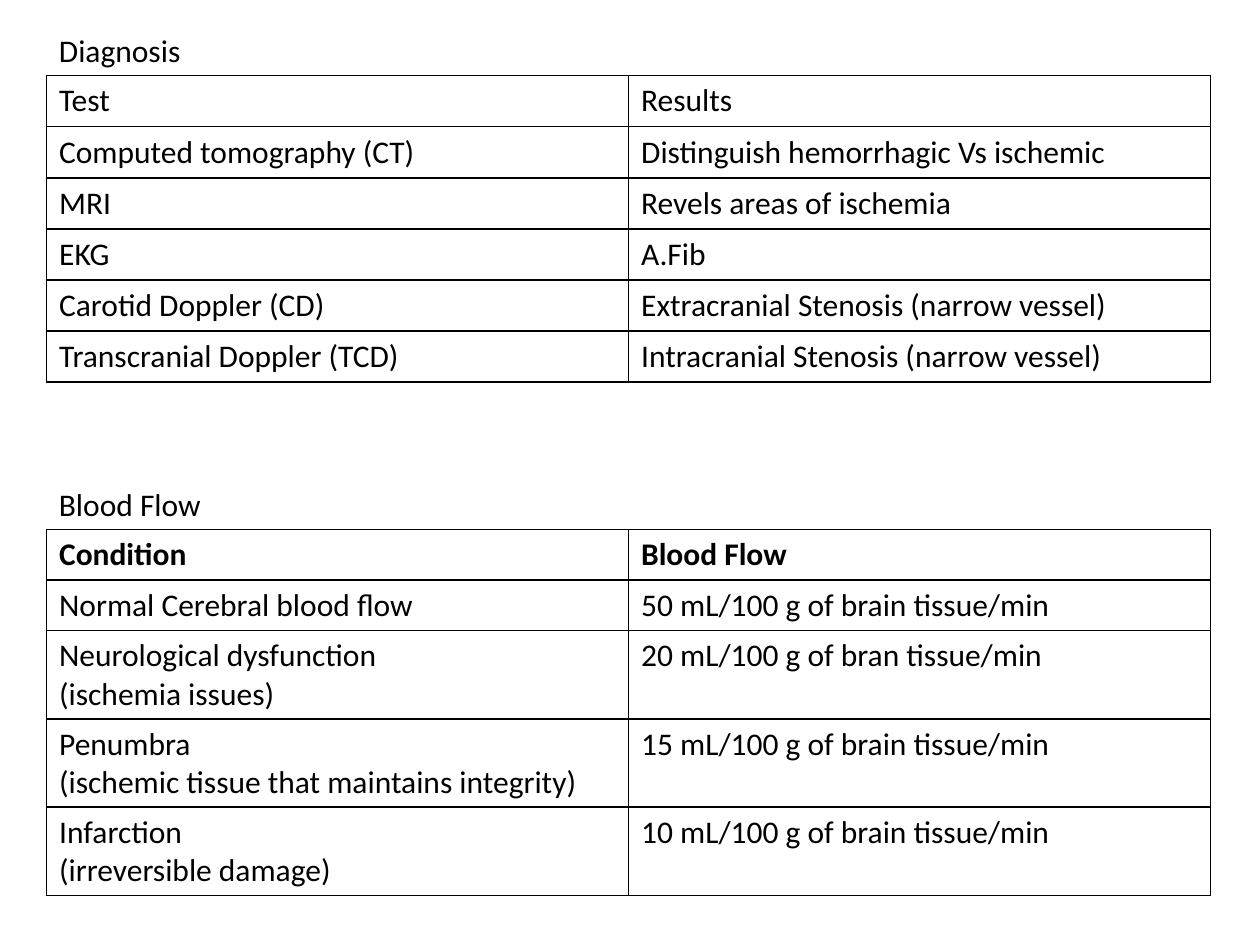
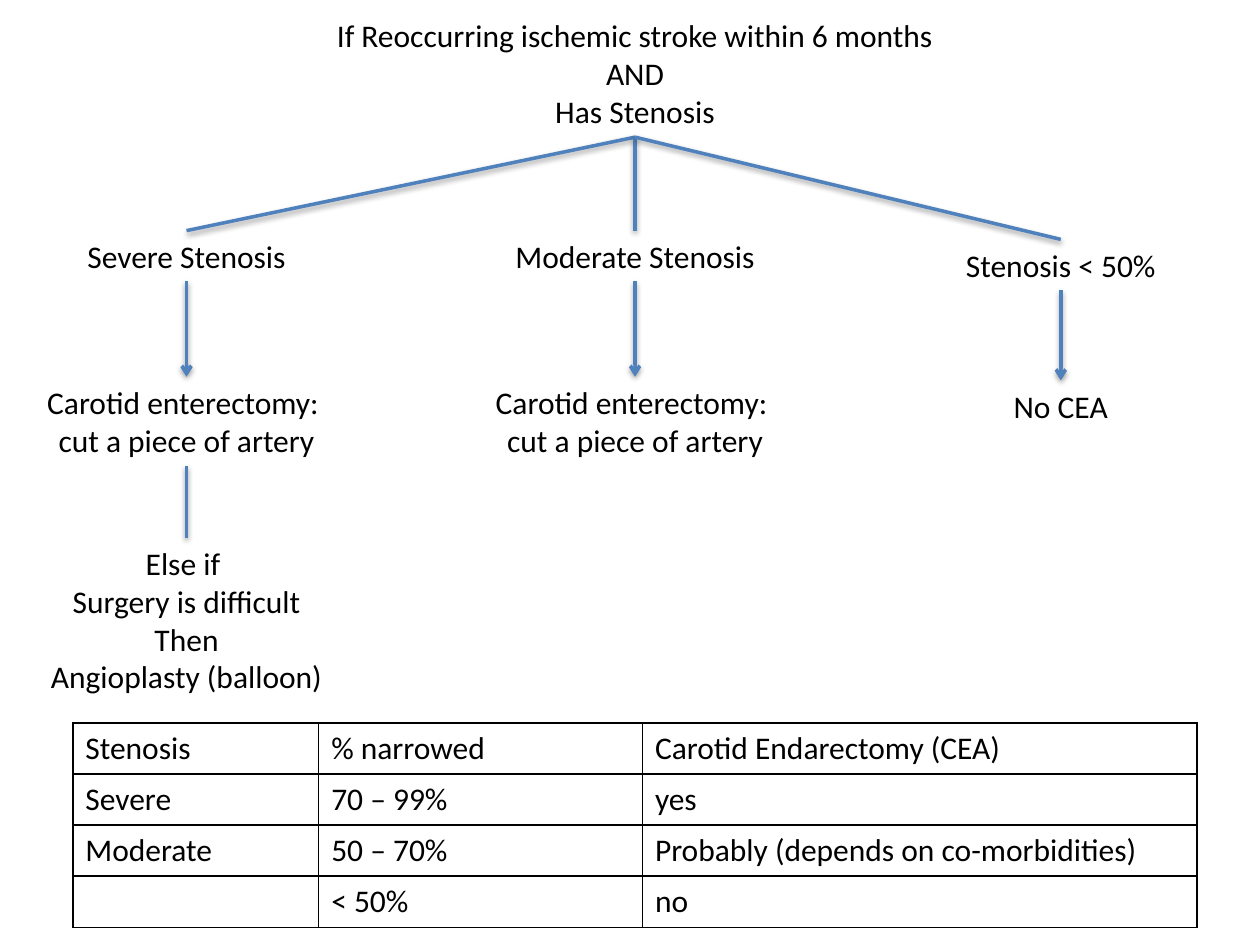
from lxml.etree import SubElement
from pptx import Presentation
from pptx.dml.color import RGBColor
from pptx.enum.shapes import MSO_CONNECTOR
from pptx.enum.text import PP_ALIGN
from pptx.oxml.ns import qn
from pptx.util import Pt

BLACK = "000000"
BLUE = "4F81BD"
FONT = "Calibri"
TEXT_SIZE = 18
LINE_HEIGHT = 21.8
BOX_PADDING = 7.2


def colour(value):
    """Turn a hex string into a colour."""
    return RGBColor.from_string(value)


def add_xml_colour(parent, value):
    """Add a hex colour element to an XML parent."""
    return SubElement(parent, qn("a:srgbClr"), val=str(colour(value)))


class StrokeDeck:
    """Holds the style and the current slide, and draws each kind of element."""

    def __init__(self):
        """Start a ten by seven and a half inch deck."""
        self.deck = Presentation()
        self.deck.slide_width = Pt(720)
        self.deck.slide_height = Pt(540)
        self.page = None

    def add_page(self):
        """Start a new blank slide."""
        self.page = self.deck.slides.add_slide(self.deck.slide_layouts[6])

    def fill_text(self, frame, text, align=PP_ALIGN.LEFT, bold=False):
        """Fill a text frame with one paragraph for each line."""
        for index, line in enumerate(text.split("\n")):
            para = frame.paragraphs[0] if index == 0 else frame.add_paragraph()
            para.text = line
            para.alignment = align
            para.font.name = FONT
            para.font.size = Pt(TEXT_SIZE)
            para.font.bold = bold
            para.font.color.rgb = colour(BLACK)

    def label(self, text, left, top, width, align=PP_ALIGN.LEFT):
        """Place a text box and return its bottom edge."""
        height = BOX_PADDING + LINE_HEIGHT * len(text.split("\n"))
        box = self.page.shapes.add_textbox(Pt(left), Pt(top), Pt(width), Pt(height))
        box.text_frame.word_wrap = False
        self.fill_text(box.text_frame, text, align)
        return top + height

    def node(self, text, centre, top, width):
        """Place a centred label and return its bottom edge."""
        return self.label(text, centre - width / 2, top, width, PP_ALIGN.CENTER)

    def line(self, start, end, arrow=False):
        """Draw a shadowed line, with an arrowhead at its end if asked."""
        points = [Pt(length) for length in (*start, *end)]
        connector = self.page.shapes.add_connector(MSO_CONNECTOR.STRAIGHT, *points)
        connector.line.color.rgb = colour(BLUE)
        connector.line.width = Pt(2)
        properties = connector._element.spPr
        if arrow:
            SubElement(properties.find(qn("a:ln")), qn("a:tailEnd"), type="arrow")
        effects = SubElement(properties, qn("a:effectLst"))
        shadow = SubElement(effects, qn("a:outerShdw"), blurRad="40000",
                            dist="20000", dir="5400000", rotWithShape="0")
        SubElement(add_xml_colour(shadow, BLACK), qn("a:alpha"), val="38000")

    def border(self, cell):
        """Give a cell a black border on every side."""
        properties = cell._tc.get_or_add_tcPr()
        for side in ("lnL", "lnR", "lnT", "lnB"):
            edge = SubElement(properties, qn(f"a:{side}"), w=str(int(Pt(1))))
            add_xml_colour(SubElement(edge, qn("a:solidFill")), BLACK)

    def table(self, left, top, widths, heights, rows, bold_header=False):
        """Draw a plain bordered table."""
        table = self.page.shapes.add_table(
            len(rows), len(widths), Pt(left), Pt(top),
            Pt(sum(widths)), Pt(sum(heights))).table
        table.first_row = False
        table.horz_banding = False
        for column, width in zip(table.columns, widths):
            column.width = Pt(width)
        for index, (row, height) in enumerate(zip(rows, heights)):
            table.rows[index].height = Pt(height)
            for cell, text in zip(table.rows[index].cells, row):
                self.border(cell)
                cell.fill.background()
                self.fill_text(cell.text_frame, text, bold=bold_header and index == 0)


DIAGNOSIS = [
    ("Test", "Results"),
    ("Computed tomography (CT)", "Distinguish hemorrhagic Vs ischemic"),
    ("MRI", "Revels areas of ischemia"),
    ("EKG", "A.Fib"),
    ("Carotid Doppler (CD)", "Extracranial Stenosis (narrow vessel)"),
    ("Transcranial Doppler (TCD)", "Intracranial Stenosis (narrow vessel)"),
]
BLOOD_FLOW = [
    ("Condition", "Blood Flow"),
    ("Normal Cerebral blood flow", "50 mL/100 g of brain tissue/min"),
    ("Neurological dysfunction\n(ischemia issues)", "20 mL/100 g of bran tissue/min"),
    ("Penumbra\n(ischemic tissue that maintains integrity)",
     "15 mL/100 g of brain tissue/min"),
    ("Infarction\n(irreversible damage)", "10 mL/100 g of brain tissue/min"),
]
STENOSIS = [
    ("Stenosis", "% narrowed", "Carotid Endarectomy (CEA)"),
    ("Severe", "70 – 99%", "yes"),
    ("Moderate", "50 – 70%", "Probably (depends on co-morbidities)"),
    ("", "< 50%", "no"),
]
SURGERY = "Carotid enterectomy: \ncut a piece of artery"
BRANCHES = [
    ("Severe Stenosis", 106.6, 131.8, 183, SURGERY, 215.3, 193),
    ("Moderate Stenosis", 362.9, 131.8, 154, SURGERY, 215.3, 193),
    ("Stenosis < 50%", 606.2, 136.8, 125, "No CEA", 217.4, 69),
]
ROW_HEIGHT = 29.2


def build_tests_page(deck):
    """Draw the diagnosis and blood flow tables."""
    deck.add_page()
    left, widths = 26.6, [332.6] * 2
    deck.label("Diagnosis", left, 14.4, 85)
    deck.table(left, 43.2, widths, [ROW_HEIGHT] * len(DIAGNOSIS), DIAGNOSIS)
    deck.label("Blood Flow", left, 273.8, 96.5)
    heights = [28.6] * 2 + [50.5] * 3
    deck.table(left, 302.6, widths, heights, BLOOD_FLOW, bold_header=True)


def build_stenosis_page(deck):
    """Draw the treatment tree and the stenosis table."""
    deck.add_page()
    root = 362.9
    root_bottom = deck.node(
        "If Reoccurring ischemic stroke within 6 months\nAND\nHas Stenosis",
        root, 5.8, 360)
    bottoms = []
    for finding, centre, top, width, action, action_top, action_width in BRANCHES:
        deck.line((root, root_bottom), (centre, top))
        bottom = deck.node(finding, centre, top, width)
        deck.line((centre, bottom), (centre, action_top), arrow=True)
        bottoms.append(deck.node(action, centre, action_top, action_width))
    severe, fallback_top = BRANCHES[0][1], 307.4
    deck.line((severe, bottoms[0]), (severe, fallback_top))
    deck.node("Else if \nSurgery is difficult\nThen\nAngioplasty (balloon)",
              severe, fallback_top, 171.4)
    deck.table(41.6, 413.1, [140.5, 185, 316.8], [ROW_HEIGHT] * len(STENOSIS), STENOSIS)


def main():
    """Build both slides and save the deck."""
    deck = StrokeDeck()
    build_tests_page(deck)
    build_stenosis_page(deck)
    deck.deck.save("out.pptx")


if __name__ == "__main__":
    main()
